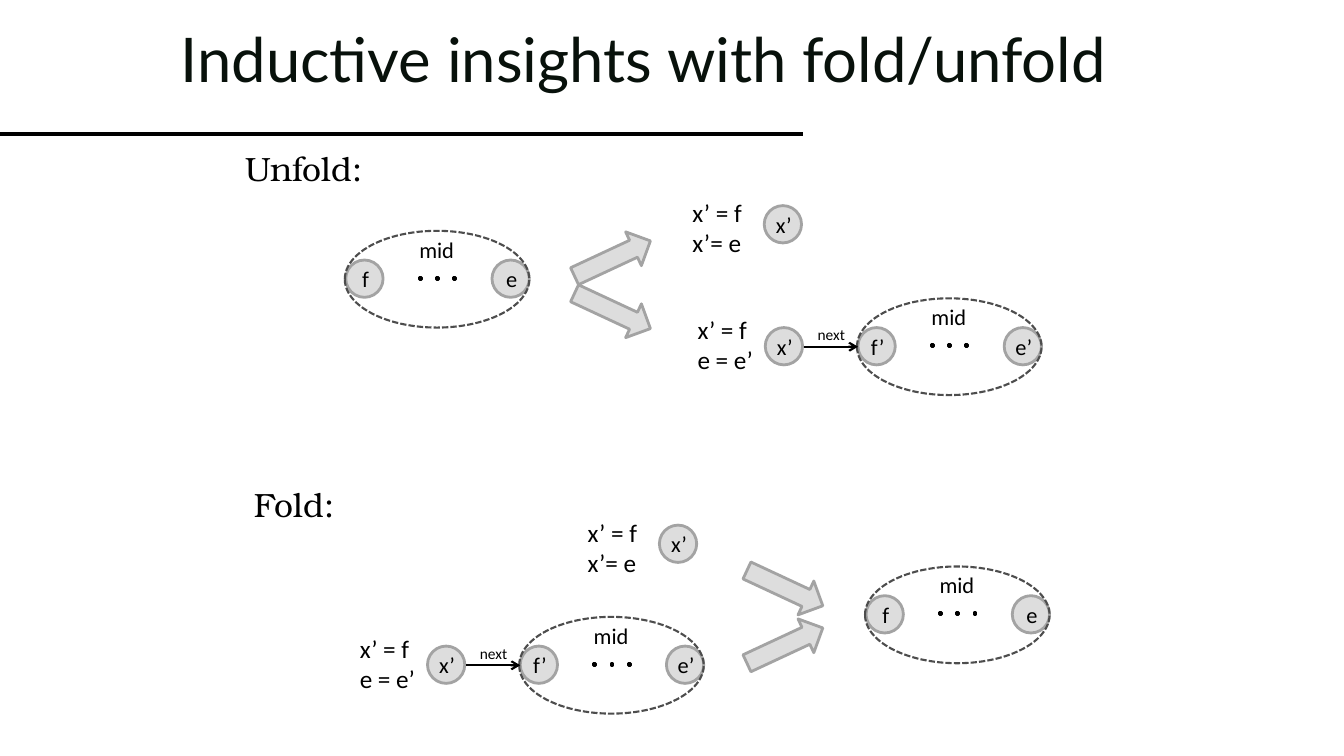
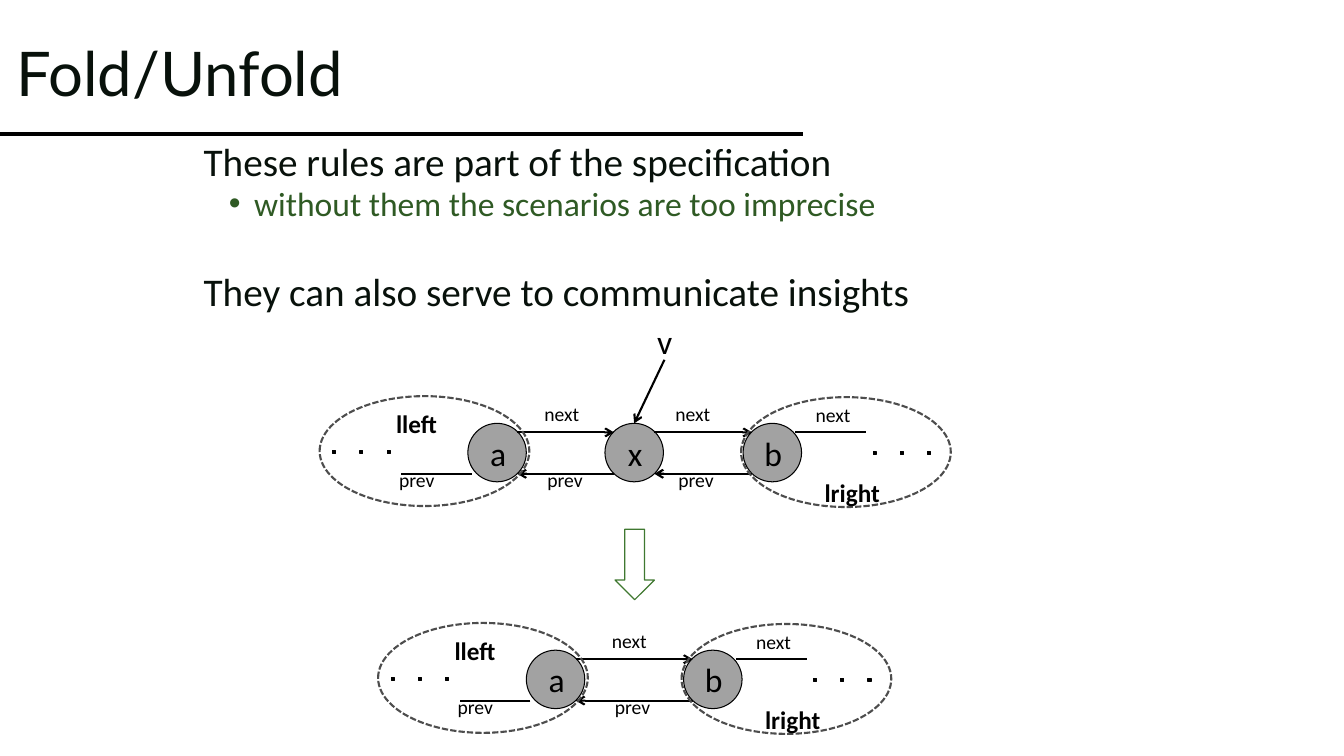
from lxml.etree import SubElement
from pptx import Presentation
from pptx.dml.color import RGBColor
from pptx.enum.dml import MSO_LINE
from pptx.enum.shapes import MSO_CONNECTOR, MSO_SHAPE
from pptx.enum.text import MSO_ANCHOR, MSO_AUTO_SIZE, PP_ALIGN
from pptx.oxml.ns import qn
from pptx.util import Inches, Pt

BLACK = "000000"


def color(value):
    return RGBColor.from_string(value)


class Deck:
    title_font = "Lato"
    text_font = "Calibri"
    heading_font = "TeX Gyre Bonum"
    ink = "08110B"
    green = "2F5A24"
    arrow_green = "3F7830"
    light = "DDDDDD"
    border = "A3A3A3"
    gray = "A2A2A2"
    dash = "4D4D4D"

    def __init__(self):
        self.presentation = Presentation()
        self.presentation.slide_width = Inches(13.33)
        self.presentation.slide_height = Inches(7.5)
        self.slide = None

    def set_font(self, paragraph, size, value=BLACK, name=text_font, bold=False):
        font = paragraph.font
        font.name, font.size, font.bold = name, Pt(size), bold
        font.color.rgb = color(value)

    def place(self, shape, left, top, width, height):
        shape.left, shape.top = Inches(left), Inches(top)
        shape.width, shape.height = Inches(width), Inches(height)
        shape.text_frame.auto_size = MSO_AUTO_SIZE.NONE

    def new_slide(self, layout, title, box):
        layouts = self.presentation.slide_layouts
        self.slide = self.presentation.slides.add_slide(layouts.get_by_name(layout))
        self.line((0, 1.33), (7.96, 1.33), width=2.25)
        shape = self.slide.shapes.title
        self.place(shape, *box)
        shape.text_frame.vertical_anchor = MSO_ANCHOR.MIDDLE
        shape.text_frame.text = title
        paragraph = shape.text_frame.paragraphs[0]
        paragraph.alignment = PP_ALIGN.LEFT
        paragraph.line_spacing = 0.9
        self.set_font(paragraph, 44, self.ink, self.title_font)

    def body(self, items, box):
        shape = self.slide.placeholders[1]
        self.place(shape, *box)
        frame = shape.text_frame
        frame.vertical_anchor = MSO_ANCHOR.TOP
        frame.text = "\n".join(text for text, level, before in items)
        for paragraph, (text, level, before) in zip(frame.paragraphs, items):
            paragraph.level = level
            properties = paragraph._p.get_or_add_pPr()
            properties.set("marL", str(Inches(0.75 if level else 0.25)))
            properties.set("indent", str(Inches(-0.25 if level else 0)))
            if level:
                SubElement(properties, qn("a:buChar")).set("char", "•")
            else:
                SubElement(properties, qn("a:buNone"))
            paragraph.line_spacing = 0.8
            paragraph.space_before = Pt(before)
            self.set_font(paragraph, 24 if level else 28, self.green if level else self.ink)

    def label(self, text, left, top, width, height, size, name=text_font, bold=False):
        box = self.slide.shapes.add_textbox(*map(Inches, (left, top, width, height)))
        frame = box.text_frame
        frame.word_wrap = False
        frame.auto_size = MSO_AUTO_SIZE.SHAPE_TO_FIT_TEXT
        frame.text = text
        for paragraph in frame.paragraphs:
            self.set_font(paragraph, size, name=name, bold=bold)

    def shape(self, kind, left, top, width, height, fill, line, weight):
        shape = self.slide.shapes.add_shape(kind, *map(Inches, (left, top, width, height)))
        shape.shadow.inherit = False
        if fill:
            shape.fill.solid()
            shape.fill.fore_color.rgb = color(fill)
        else:
            shape.fill.background()
        shape.line.color.rgb = color(line)
        shape.line.width = Pt(weight)
        return shape

    def line(self, start, end, width=1.5, arrow=False):
        connector = self.slide.shapes.add_connector(
            MSO_CONNECTOR.STRAIGHT, *map(Inches, (*start, *end)))
        connector.line.color.rgb = color(BLACK)
        connector.line.width = Pt(width)
        properties = connector._element.spPr
        if arrow:
            SubElement(properties.find(qn("a:ln")), qn("a:tailEnd")).set("type", "arrow")
        SubElement(properties, qn("a:effectLst"))

    def node(self, text, left, top, diameter, size, fill, line, weight):
        shape = self.shape(MSO_SHAPE.OVAL, left, top, diameter, diameter, fill, line, weight)
        frame = shape.text_frame
        frame.margin_left, frame.margin_right = Inches(0.02), 0
        frame.vertical_anchor = MSO_ANCHOR.MIDDLE
        frame.word_wrap = True
        frame.text = text
        frame.paragraphs[0].alignment = PP_ALIGN.CENTER
        self.set_font(frame.paragraphs[0], size)

    def small_node(self, text, left, top):
        self.node(text, left, top, 0.37, 16, self.light, self.border, 2)

    def big_node(self, text, left, top):
        self.node(text, left, top, 0.58, 24, self.gray, BLACK, 0.75)

    def dots(self, left, top, step, side, weight):
        for index in range(3):
            self.shape(MSO_SHAPE.RECTANGLE, left + index * step, top, side, side,
                       BLACK, BLACK, weight)

    def region(self, left, top, width, height):
        shape = self.shape(MSO_SHAPE.OVAL, left, top, width, height, None, self.dash, 1.5)
        shape.line.dash_style = MSO_LINE.SQUARE_DOT

    def block_arrow(self, left, top, rotation):
        shape = self.shape(MSO_SHAPE.RIGHT_ARROW, left, top, 0.83, 0.37,
                           self.light, self.border, 2)
        shape.rotation = rotation

    def heading(self, text, left, top, width):
        self.label(text, left, top, width, 0.5, 24, self.heading_font)

    def equations(self, text, left, top):
        self.label(text, left, top, 0.76, 0.71, 18)

    def segment(self, first, last, left, top):
        self.small_node(first, left + 0.01, top + 0.29)
        self.small_node(last, left + 1.46, top + 0.29)
        self.dots(left + 0.74, top + 0.46, 0.17, 0.02, 2)
        self.label("mid", left + 0.64, top, 0.55, 0.37, 16)
        self.region(left, top, 1.83, 0.96)

    def single(self, left, top):
        self.equations("x’ = f\nx’= e", left, top)
        self.small_node("x’", left + 0.81, top + 0.13)

    def extended(self, left, top):
        self.segment("f’", "e’", left, top)
        self.small_node("x’", left - 0.91, top + 0.29)
        self.line((left - 0.53, top + 0.48), (left + 0.01, top + 0.48), arrow=True)
        self.label("next", left - 0.49, top + 0.22, 0.48, 0.29, 11)
        self.equations("x’ = f\ne = e’", left - 1.68, top + 0.11)

    def next_label(self, left, top):
        self.label("next", left, top, 0.55, 0.34, 14)

    def prev_label(self, left, top):
        self.label("prev", left, top, 0.56, 0.34, 14)

    def link(self, left, right, top, label_left):
        start, end = left + 0.49, right + 0.09
        self.line((start, top + 0.09), (end, top + 0.09), arrow=True)
        self.line((end, top + 0.5), (start, top + 0.5), arrow=True)
        self.next_label(label_left, top - 0.26)
        self.prev_label(label_left + 0.03, top + 0.39)

    def left_list(self, left, top):
        self.line((left + 0.04, top + 0.5), (left - 0.66, top + 0.5))
        self.prev_label(left - 0.78, top + 0.39)
        self.dots(left - 1.34, top + 0.27, 0.27, 0.03, 0.85)
        self.region(left - 1.47, top - 0.27, 2.08, 1.09)
        self.label("lleft", left - 0.81, top - 0.2, 0.62, 0.4, 18, bold=True)

    def right_list(self, left, top):
        self.line((left + 0.52, top + 0.09), (left + 1.22, top + 0.09))
        self.next_label(left + 0.62, top - 0.25)
        self.dots(left + 1.29, top + 0.28, 0.27, 0.03, 0.85)
        self.region(left - 0.02, top - 0.26, 2.08, 1.09)
        self.label("lright", left + 0.71, top + 0.49, 0.76, 0.4, 18, bold=True)

    def linked_list(self, nodes, label_lefts, top):
        for text, left in nodes:
            self.big_node(text, left, top)
        lefts = [left for text, left in nodes]
        for left, right, label_left in zip(lefts, lefts[1:], label_lefts):
            self.link(left, right, top, label_left)
        self.left_list(lefts[0], top)
        self.right_list(lefts[-1], top)


def insights_slide(deck):
    deck.new_slide("Title Only", "Inductive insights with fold/unfold", (1.69, 0, 9.97, 1.25))
    deck.heading("Unfold:", 2.33, 1.42, 1.4)
    deck.segment("f", "e", 3.42, 2.29)
    deck.block_arrow(5.66, 2.9, 25)
    deck.block_arrow(5.66, 2.38, 335)
    deck.single(6.77, 1.91)
    deck.extended(8.5, 2.96)

    deck.heading("Fold:", 2.42, 4.75, 1.02)
    deck.single(5.73, 5.08)
    deck.extended(5.15, 6.12)
    deck.block_arrow(7.37, 5.65, 25)
    deck.block_arrow(7.37, 6.22, 335)
    deck.segment("f", "e", 8.58, 5.62)


def rules_slide(deck):
    deck.new_slide("Title and Content", "Fold/Unfold", (0.06, 0.03, 7.51, 1.45))
    deck.body([
        ("These rules are part of the specification", 0, 0),
        ("without them the scenarios are too imprecise", 1, 5),
        ("They can also serve to communicate insights", 0, 38),
    ], (1.67, 1.4, 9.83, 1.94))
    deck.linked_list([("a", 4.64), ("x", 6), ("b", 7.37)], [5.3, 6.6], 4.2)
    deck.label("v", 6.42, 3.13, 0.35, 0.5, 24)
    deck.line((6.59, 3.57), (6.29, 4.2), arrow=True)
    deck.shape(MSO_SHAPE.DOWN_ARROW, 6.1, 5.25, 0.39, 0.7, "FFFFFF", deck.arrow_green, 0.85)
    deck.linked_list([("a", 5.22), ("b", 6.78)], [5.97], 6.45)


def main():
    deck = Deck()
    insights_slide(deck)
    rules_slide(deck)
    deck.presentation.save("out.pptx")


if __name__ == "__main__":
    main()
